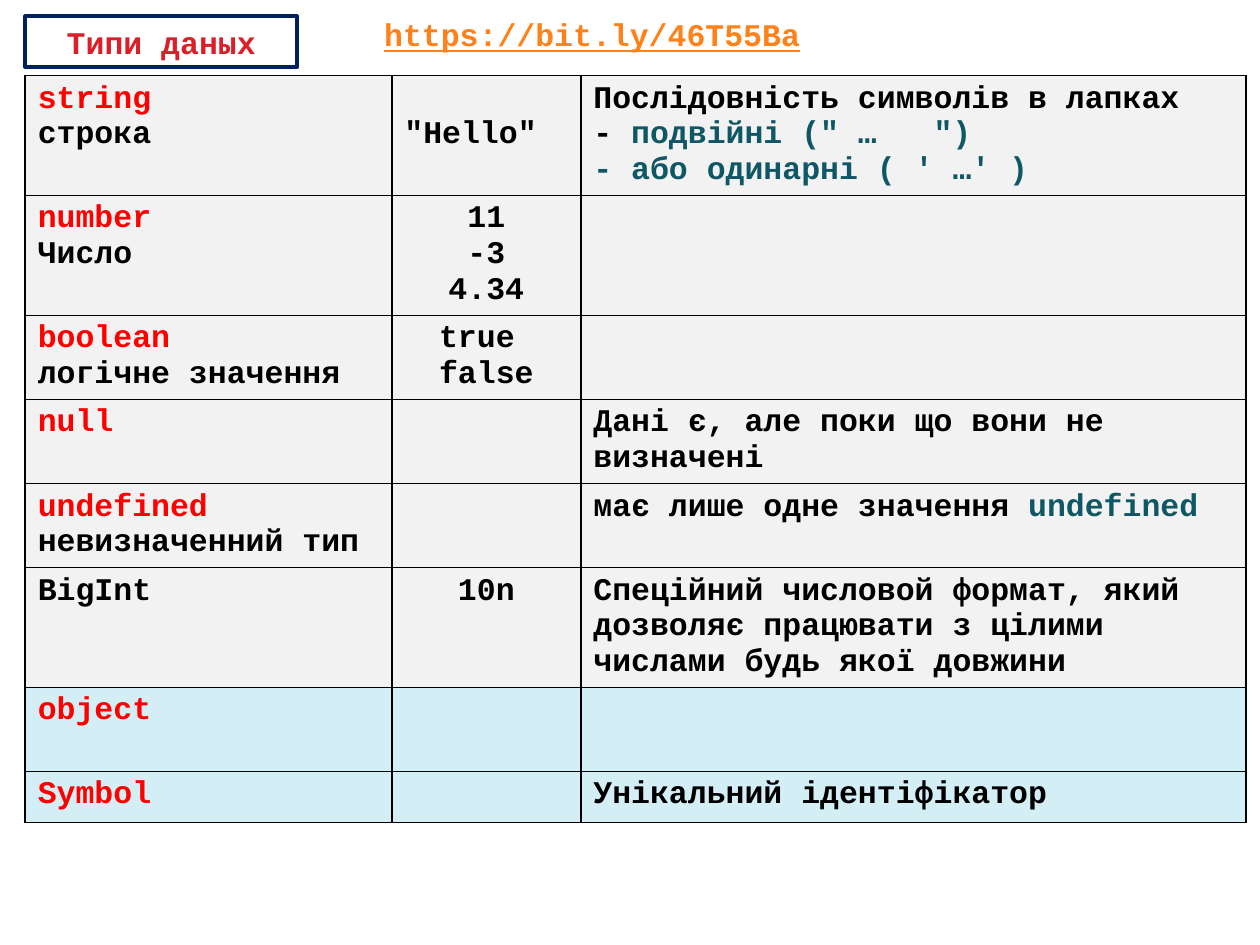
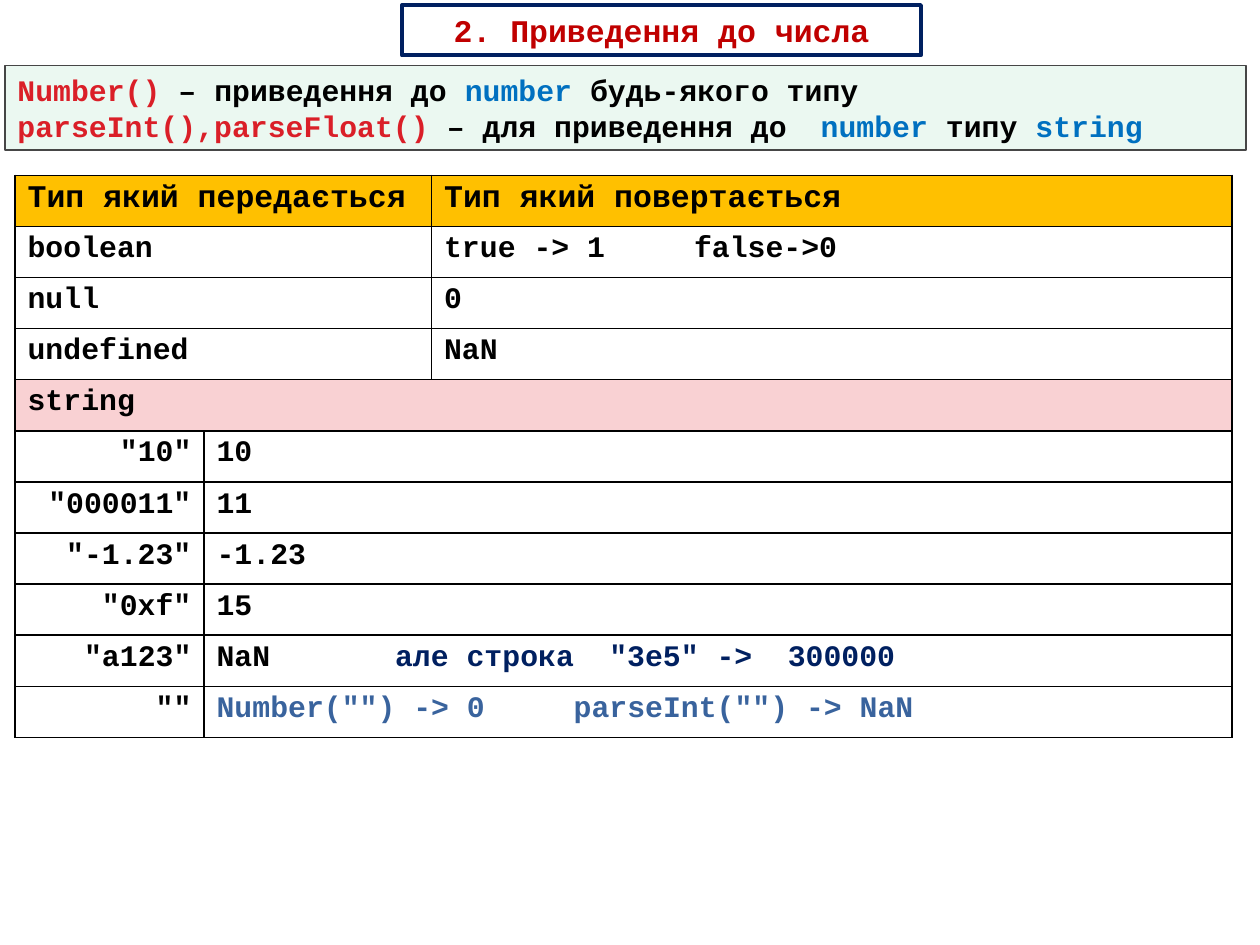
from dataclasses import dataclass

from lxml import etree
from pptx import Presentation
from pptx.dml.color import RGBColor
from pptx.enum.shapes import MSO_SHAPE
from pptx.enum.text import MSO_ANCHOR, PP_ALIGN
from pptx.oxml.ns import qn
from pptx.util import Pt

RECT = MSO_SHAPE.RECTANGLE
LEFT, MID, RIGHT = PP_ALIGN.LEFT, PP_ALIGN.CENTER, PP_ALIGN.RIGHT
TOP, CENTER = MSO_ANCHOR.TOP, MSO_ANCHOR.MIDDLE


@dataclass(frozen=True)
class Theme:
    font: str = "Courier New"
    big: int = 18
    small: int = 17
    pitch: float = 0.6  # width of a letter as a share of the type size
    black: str = "000000"
    white: str = "FFFFFF"
    navy: str = "002060"
    red: str = "FF0000"
    rose: str = "DA1F28"
    wine: str = "C00000"
    teal: str = "105766"
    blue: str = "0070C0"
    steel: str = "39639D"
    orange: str = "FF8119"
    green: str = "00B050"
    gray: str = "464646"
    pale: str = "F2F2F2"
    sky: str = "D3EEF5"
    gold: str = "FFC000"
    pink: str = "F9D1D3"


T = Theme()


@dataclass
class Text:
    """Each line is a string or a list of (text, colour) pairs."""
    lines: tuple = ()
    align: PP_ALIGN = LEFT
    size: int = T.big
    anchor: MSO_ANCHOR = TOP
    stops: tuple = ()  # tab stops, counted in letters


def rgb(color):
    return RGBColor.from_string(color)


def paint(fill, color):
    if color:
        fill.solid()
        fill.fore_color.rgb = rgb(color)
    else:
        fill.background()


def add_tabs(para, text):
    tabs = etree.SubElement(para._p.get_or_add_pPr(), qn("a:tabLst"))
    for stop in text.stops:
        pos = Pt(stop * text.size * T.pitch)
        etree.SubElement(tabs, qn("a:tab"), pos=str(int(pos)), algn="l")


def write(frame, text):
    for i, line in enumerate(text.lines):
        para = frame.add_paragraph() if i else frame.paragraphs[0]
        para.alignment = text.align
        if text.stops:
            add_tabs(para, text)
        runs = [(line, T.black)] if isinstance(line, str) else line
        for words, color in runs:
            run = para.add_run()
            run.text = words
            font = run.font
            font.name, font.size, font.bold = T.font, Pt(text.size), True
            font.color.rgb = rgb(color)


def add_box(slide, place, text, fill, line, width):
    box = slide.shapes.add_shape(RECT, *map(Pt, place))
    box.shadow.inherit = False
    paint(box.fill, fill)
    box.line.color.rgb = rgb(line)
    box.line.width = Pt(width)
    box.text_frame.word_wrap = True
    box.text_frame.vertical_anchor = text.anchor
    write(box.text_frame, text)
    return box


def add_title(slide, place, words, color):
    text = Text(([(words, color)],), MID, anchor=CENTER)
    add_box(slide, place, text, T.white, T.navy, 2.25)


def add_link(slide, place, words):
    box = slide.shapes.add_textbox(*map(Pt, place))
    box.text_frame.word_wrap = True
    write(box.text_frame, Text(([(words, T.orange)],)))
    box.text_frame.paragraphs[0].runs[0].font.underline = True


def fade(shape, percent):
    color = shape.fill._xPr.find(qn("a:solidFill"))[0]
    etree.SubElement(color, qn("a:alpha"), val=str(percent * 1000))


def style_cell(cell, fill):
    props = cell._tc.get_or_add_tcPr()
    for side in ("a:lnL", "a:lnR", "a:lnT", "a:lnB"):
        edge = etree.SubElement(props, qn(side), w=str(int(Pt(1))))
        solid = etree.SubElement(edge, qn("a:solidFill"))
        etree.SubElement(solid, qn("a:srgbClr"), val=T.black)
    paint(cell.fill, fill)


def add_grid(slide, left, top, cols, highs, fills):
    frame = slide.shapes.add_table(len(highs), len(cols), Pt(left), Pt(top),
                                   Pt(sum(cols)), Pt(sum(highs)))
    table = frame.table
    table.first_row = table.horz_banding = False
    for col, width in zip(table.columns, cols):
        col.width = Pt(width)
    for row, high, fill in zip(table.rows, highs, fills):
        row.height = Pt(high)
        for cell in row.cells:
            style_cell(cell, fill)
    return table


def fill_cell(cell, text):
    cell.vertical_anchor = text.anchor
    write(cell.text_frame, text)


def kind(name, note=None, color=T.red):
    """Name of a data type with an optional note under it."""
    return Text(([(name, color)],) + ((note,) if note else ()))


def draw_types(slide):
    add_title(slide, (14.4, 9.4, 155.5, 28.8), "Типи даных", T.rose)
    none = Text()
    rows = [
        (kind("string", "строка"), Text(('"Hello"',), anchor=CENTER),
         Text(("Послідовність символів в лапках",
               [("- ", T.black), ('подвійні (" …\t")', T.teal)],
               [("- або одинарні ( ' …' )", T.teal)]), stops=(18,))),
        (kind("number", "Число"), Text(("11", "-3", "4.34"), MID), none),
        (kind("boolean", "логічне значення"),
         Text(("true ", "false"), MID), none),
        (kind("null"), none,
         Text(("Дані є, але поки що вони не визначені",))),
        (kind("undefined", "невизначенний тип"), none,
         Text(([("має лише одне значення ", T.black),
                ("undefined", T.teal)],))),
        (kind("BigInt", color=T.black), Text(("10n",), MID),
         Text(("Спеційний числовой формат, який дозволяє працювати "
               "з цілими числами будь якої довжини",))),
        (kind("object"), none, none),
        (kind("Symbol"), none, Text(("Унікальний ідентіфікатор",))),
    ]
    one, two, three = 29.2, 48, 68.5
    highs = [three, three, two, two, two, three, two, one]
    table = add_grid(slide, 14.4, 43.2, [209.5, 108, 380], highs,
                     [T.pale] * 6 + [T.sky] * 2)
    for row, texts in zip(table.rows, rows):
        for cell, text in zip(row.cells, texts):
            fill_cell(cell, text)
    add_link(slide, (212.4, 5, 289.4, 29), "https://bit.ly/46T55Ba")


def draw_casts(slide):
    lines = ([("Number()", T.rose), (" – приведення до ", T.black),
              ("number", T.blue), (" будь-якого типу", T.black)],
             [("parseInt(),parseFloat() ", T.rose),
              ("– для приведення до\t", T.black), ("number ", T.blue),
              ("типу ", T.black), ("string", T.blue)])
    info = Text(lines, size=T.small, stops=(45,))
    fade(add_box(slide, (2.9, 37.5, 709.2, 48.2), info, T.green, T.gray,
                 0.75), 8)

    plain = [("boolean", "true -> 1\tfalse->0"), ("null", "0"),
             ("undefined", "NaN")]
    parsed = [
        ('"10"', "10", ()), ('"000011"', "11", ()),
        ('"-1.23"', "-1.23", ()), ('"0xf"', "15", ()),
        ('"a123"', [("NaN\t", T.black),
                    ('але строка\t"3e5" ->\t300000', T.navy)], (10, 22, 32)),
        ('""', [('Number("") -> 0\tparseInt("") -> NaN', T.steel)], (20,)),
    ]
    split = len(plain) + 1
    count = split + 1 + len(parsed)
    fills = [T.gold] + [None] * len(plain) + [T.pink] + [None] * len(parsed)
    table = add_grid(slide, 8.6, 100.2, [108, 130, 457.5], [29.2] * count,
                     fills)
    at = table.cell
    for r in range(split):
        at(r, 0).merge(at(r, 1))
    at(split, 0).merge(at(split, 2))
    for r in range(split + 1, count):
        at(r, 1).merge(at(r, 2))

    fill_cell(at(0, 0), Text(("Тип який передається",)))
    fill_cell(at(0, 2), Text(("Тип який повертається",)))
    for r, (name, value) in enumerate(plain, 1):
        fill_cell(at(r, 0), Text((name,), size=T.small))
        stops = (14,) if "\t" in value else ()
        fill_cell(at(r, 2), Text((value,), size=T.small, stops=stops))
    fill_cell(at(split, 0), Text(("string",), size=T.small))
    for r, (name, value, stops) in enumerate(parsed, split + 1):
        fill_cell(at(r, 0), Text((name,), RIGHT, T.small))
        fill_cell(at(r, 1), Text((value,), size=T.small, stops=stops))
    add_title(slide, (229.7, 2.9, 296.6, 28.8), "2. Приведення до числа",
              T.wine)


def main():
    deck = Presentation()
    deck.slide_width, deck.slide_height = Pt(720), Pt(540)
    for draw in (draw_types, draw_casts):
        draw(deck.slides.add_slide(deck.slide_layouts[6]))
    deck.save("out.pptx")


if __name__ == "__main__":
    main()
